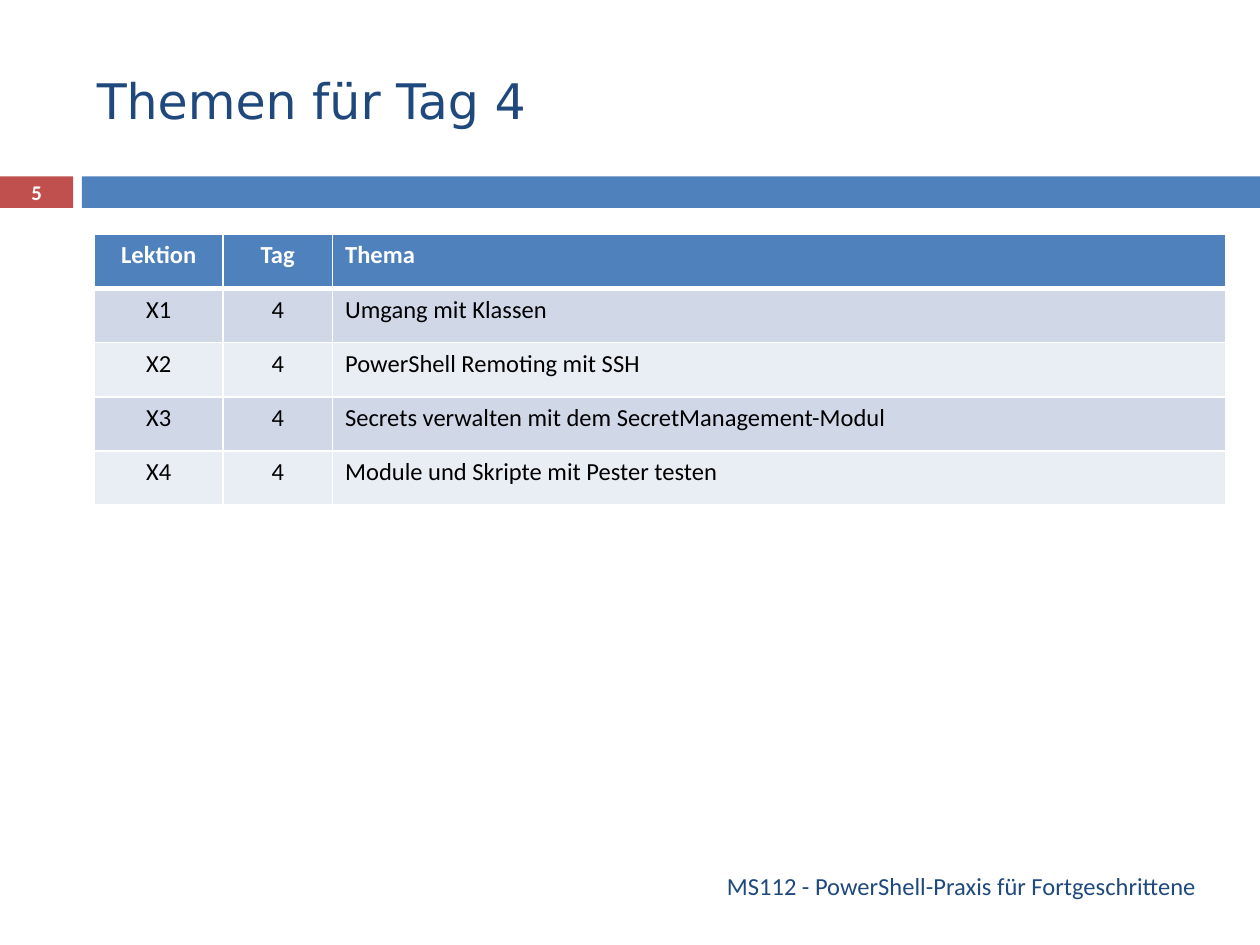
"""Build the topic overview slide for day 4 of the course."""
from lxml.etree import SubElement
from pptx import Presentation
from pptx.dml.color import RGBColor
from pptx.enum.shapes import MSO_SHAPE as SHAPE
from pptx.enum.text import MSO_ANCHOR as ANCHOR, PP_ALIGN as ALIGN
from pptx.oxml.ns import qn
from pptx.util import Inches, Pt

BLUE, RED, NAVY, WHITE = "4F81BD", "C0504D", "1F497D", "FFFFFF"
BANDS = ["E9EDF4", "D0D8E8"]
COLS = [1.02, 0.87, 7.09]
ROW_H = 0.43
ROWS = [
    ("Lektion", "Tag", "Thema"),
    ("X1", "4", "Umgang mit Klassen"),
    ("X2", "4", "PowerShell Remoting mit SSH"),
    ("X3", "4", "Secrets verwalten mit dem SecretManagement-Modul"),
    ("X4", "4", "Module und Skripte mit Pester testen"),
]


def rgb(color):
    """Turn a hex string into a colour."""
    return RGBColor.from_string(color)


def write(tf, text, size, color, align=ALIGN.LEFT, bold=False, name="Calibri"):
    """Put one styled paragraph into a text frame."""
    p = tf.paragraphs[0]
    p.text, p.alignment = text, align
    f = p.font
    f.size, f.bold, f.name, f.color.rgb = Pt(size), bold, name, rgb(color)


prs = Presentation()
prs.slide_width, prs.slide_height = Inches(10), Inches(7.5)
s = prs.slides.add_slide(prs.slide_layouts[6])

for left, width, color in [(0, 0.58, RED), (0.65, 9.35, BLUE)]:
    sp = s.shapes.add_shape(SHAPE.RECTANGLE, Inches(left), Inches(1.4), Inches(width), Inches(0.25))
    sp.shadow.inherit = False
    sp.fill.solid()
    sp.fill.fore_color.rgb = rgb(color)
    sp.line.fill.background()

for box, margin, style in [
    ((0.67, 0.25, 8.92, 1.08), 0.1, ("Themen für Tag 4", 28, NAVY, ALIGN.LEFT, False, "DejaVu Sans")),
    ((0.67, 6.83, 8.92, 0.4), 0.1, ("MS112 - PowerShell-Praxis für Fortgeschrittene", 14, NAVY, ALIGN.RIGHT)),
    ((0, 1.39, 0.58, 0.27), 0, ("5", 11.9, WHITE, ALIGN.CENTER, True)),
]:
    tf = s.shapes.add_textbox(*map(Inches, box)).text_frame
    tf.word_wrap, tf.vertical_anchor = True, ANCHOR.MIDDLE
    tf.margin_left = tf.margin_right = Inches(margin)
    tf.margin_top = tf.margin_bottom = 0
    write(tf, *style)

table = s.shapes.add_table(
    len(ROWS), len(COLS), Inches(0.75), Inches(1.86), Inches(sum(COLS)), Inches(ROW_H * len(ROWS))
).table
for col, width in zip(table.columns, COLS):
    col.width = Inches(width)

for i, row in enumerate(ROWS):
    table.rows[i].height = Inches(ROW_H)
    head = i == 0
    for j, text in enumerate(row):
        cell = table.cell(i, j)
        align = ALIGN.LEFT if j == 2 else ALIGN.CENTER
        write(cell.text_frame, text, 14, WHITE if head else "000000", align, head)
        tcPr = cell._tc.get_or_add_tcPr()
        for side in "LRTB":
            thick = (head and side == "B") or (i == 1 and side == "T")
            ln = SubElement(tcPr, qn(f"a:ln{side}"), w=str(Pt(3 if thick else 1)))
            SubElement(SubElement(ln, qn("a:solidFill")), qn("a:srgbClr"), val=WHITE)
        cell.fill.solid()
        cell.fill.fore_color.rgb = rgb(BLUE if head else BANDS[i % 2])

prs.save("out.pptx")
